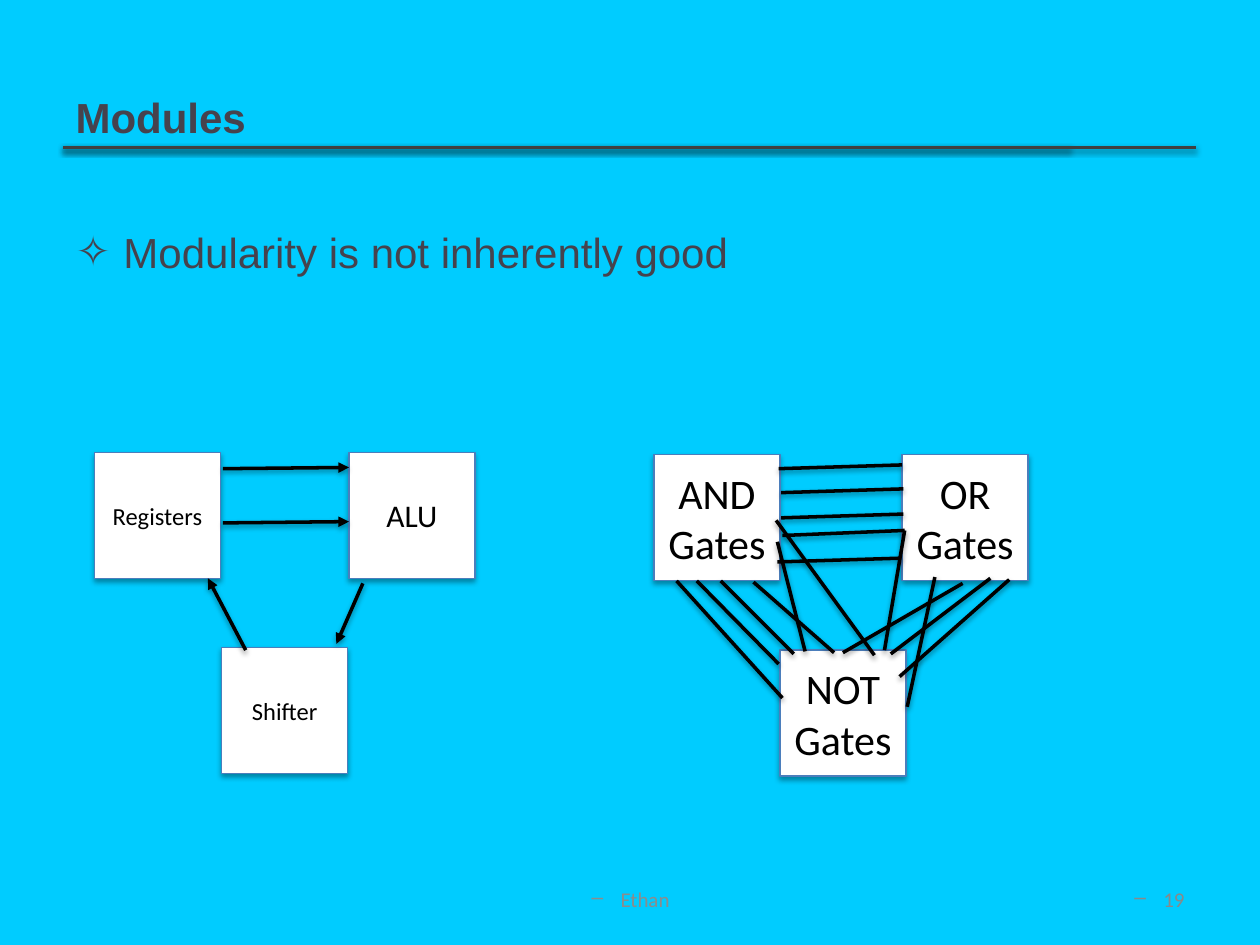
from typing import NamedTuple

from lxml import etree
from pptx import Presentation
from pptx.dml.color import RGBColor
from pptx.enum.shapes import MSO_CONNECTOR, MSO_SHAPE
from pptx.enum.text import MSO_ANCHOR, PP_ALIGN
from pptx.oxml.ns import qn
from pptx.util import Inches, Pt

STRAIGHT = MSO_CONNECTOR.STRAIGHT
RECTANGLE = MSO_SHAPE.RECTANGLE
MIDDLE, TOP = MSO_ANCHOR.MIDDLE, MSO_ANCHOR.TOP
LEFT, CENTER, RIGHT = PP_ALIGN.LEFT, PP_ALIGN.CENTER, PP_ALIGN.RIGHT

COLORS = {
    "background": "00CCFF",
    "heading": "46424D",
    "rule": "404040",
    "box": "FFFFFF",
    "border": "4B7EBC",
    "ink": "000000",
    "author": "8C8C8C",
    "number": "898989",
}
BOX_SIZE = 1


class Module(NamedTuple):
    label: str
    left: float
    top: float
    size: int


class Wire(NamedTuple):
    x1: float
    y1: float
    x2: float
    y2: float


class Footer(NamedTuple):
    text: str
    left: float
    width: float
    align: PP_ALIGN
    color: str


MODULES = [
    Module("Registers", 0.75, 3.59, 14),
    Module("ALU", 2.77, 3.59, 18),
    Module("Shifter", 1.76, 5.14, 14),
    Module("AND Gates", 5.19, 3.61, 24),
    Module("NOT Gates", 6.19, 5.16, 24),
    Module("OR\nGates", 7.16, 3.61, 24),
]
RULES = [Wire(0.5, 1.17, right, 1.17) for right in (8.49, 9.49)]
ARROWS = [
    Wire(1.77, 3.72, 2.77, 3.71),
    Wire(1.77, 4.15, 2.77, 4.14),
    Wire(2.88, 4.63, 2.67, 5.11),
    Wire(1.95, 5.16, 1.65, 4.59),
]
AND_TO_OR = [
    Wire(6.18, 3.72, 7.16, 3.69),
    Wire(6.2, 3.91, 7.17, 3.88),
    Wire(6.2, 4.11, 7.17, 4.08),
    Wire(6.21, 4.25, 7.18, 4.21),
    Wire(6.17, 4.46, 7.15, 4.43),
]
AND_TO_NOT = [
    Wire(5.37, 4.61, 6.21, 5.54),
    Wire(5.53, 4.61, 6.18, 5.27),
    Wire(5.72, 4.61, 6.3, 5.19),
    Wire(5.98, 4.62, 6.62, 5.18),
    Wire(6.16, 4.13, 6.94, 5.2),
    Wire(6.17, 4.3, 6.39, 5.17),
]
NOT_TO_OR = [
    Wire(6.69, 5.18, 7.64, 4.63),
    Wire(7.02, 5.16, 7.18, 4.21),
    Wire(7.07, 5.19, 7.86, 4.59),
    Wire(7.14, 5.37, 8.01, 4.6),
    Wire(7.2, 5.61, 7.42, 4.58),
]
FOOTERS = [
    Footer("Ethan", 3.42, 3.17, CENTER, "author"),
    Footer("19", 7.17, 2.33, RIGHT, "number"),
]


def rgb(name: str) -> RGBColor:
    return RGBColor.from_string(COLORS[name])


def add_shadow(shape, opacity: int, distance: float) -> None:
    effects = etree.SubElement(shape._element.spPr, qn("a:effectLst"))
    shadow = etree.SubElement(
        effects, qn("a:outerShdw"), blurRad=str(Pt(3.1)), dist=str(Pt(distance)),
        dir="5400000", algn="t", rotWithShape="0")
    color = etree.SubElement(shadow, qn("a:srgbClr"), val=COLORS["ink"])
    etree.SubElement(color, qn("a:alpha"), val=str(opacity * 1000))


def set_bullet(para, mark: str, indent: float) -> None:
    properties = para._p.get_or_add_pPr()
    properties.set("marL", str(Inches(indent)))
    properties.set("indent", str(-Inches(indent)))
    etree.SubElement(properties, qn("a:buChar"), char=mark)


def style_para(para, align: PP_ALIGN, font: str, size: int, color: str) -> None:
    para.alignment = align
    para.font.name = font
    para.font.size = Pt(size)
    para.font.color.rgb = rgb(color)


def place(shape, left: float, top: float, width: float, height: float) -> None:
    shape.left, shape.top = Inches(left), Inches(top)
    shape.width, shape.height = Inches(width), Inches(height)


def draw_wire(page, wire: Wire, color: str = "ink", arrow: bool = False) -> None:
    line = page.shapes.add_connector(STRAIGHT, *map(Inches, wire))
    line.line.color.rgb = rgb(color)
    line.line.width = Pt(2)
    if arrow:
        etree.SubElement(line.line._get_or_add_ln(), qn("a:tailEnd"), type="triangle")
    add_shadow(line, 38, 1.6)


def draw_module(page, module: Module) -> None:
    box = page.shapes.add_shape(
        RECTANGLE, Inches(module.left), Inches(module.top),
        Inches(BOX_SIZE), Inches(BOX_SIZE))
    box.fill.solid()
    box.fill.fore_color.rgb = rgb("box")
    box.line.color.rgb = rgb("border")
    box.line.width = Pt(0.75)
    add_shadow(box, 35, 1.8)
    frame = box.text_frame
    frame.word_wrap = True
    frame.vertical_anchor = MIDDLE
    frame.text = module.label
    for para in frame.paragraphs:
        style_para(para, CENTER, "Calibri", module.size, "ink")


def draw_footer(page, footer: Footer) -> None:
    box = page.shapes.add_textbox(
        Inches(footer.left), Inches(6.95), Inches(footer.width), Inches(0.4))
    frame = box.text_frame
    frame.word_wrap = True
    frame.vertical_anchor = MIDDLE
    frame.text = footer.text
    para = frame.paragraphs[0]
    style_para(para, footer.align, "Calibri", 12, footer.color)
    para.line_spacing = 0.9
    set_bullet(para, "–", 0.23)


def fill_placeholders(page) -> None:
    title, body = page.shapes.title, page.placeholders[1]
    place(title, 0.5, 0.3, 7.98, 1.25)
    title.text_frame.text = "Modules"
    title.text_frame.vertical_anchor = MIDDLE
    heading = title.text_frame.paragraphs[0]
    style_para(heading, LEFT, "Arial", 24, "heading")
    heading.font.bold = True

    place(body, 0.5, 1.75, 9, 4.95)
    body.text_frame.text = "Modularity is not inherently good"
    body.text_frame.vertical_anchor = TOP
    point = body.text_frame.paragraphs[0]
    style_para(point, LEFT, "Arial", 24, "heading")
    point.space_before = point.space_after = Pt(6)
    set_bullet(point, "✧", 0.38)


def main() -> None:
    deck = Presentation()
    deck.slide_width, deck.slide_height = Inches(10), Inches(7.5)
    page = deck.slides.add_slide(deck.slide_layouts[1])
    page.background.fill.solid()
    page.background.fill.fore_color.rgb = rgb("background")
    for rule in RULES:
        draw_wire(page, rule, "rule")
    fill_placeholders(page)
    for footer in FOOTERS:
        draw_footer(page, footer)
    for module in MODULES:
        draw_module(page, module)
    for arrow in ARROWS:
        draw_wire(page, arrow, arrow=True)
    for wire in AND_TO_OR + AND_TO_NOT + NOT_TO_OR:
        draw_wire(page, wire)
    deck.save("out.pptx")


if __name__ == "__main__":
    main()
